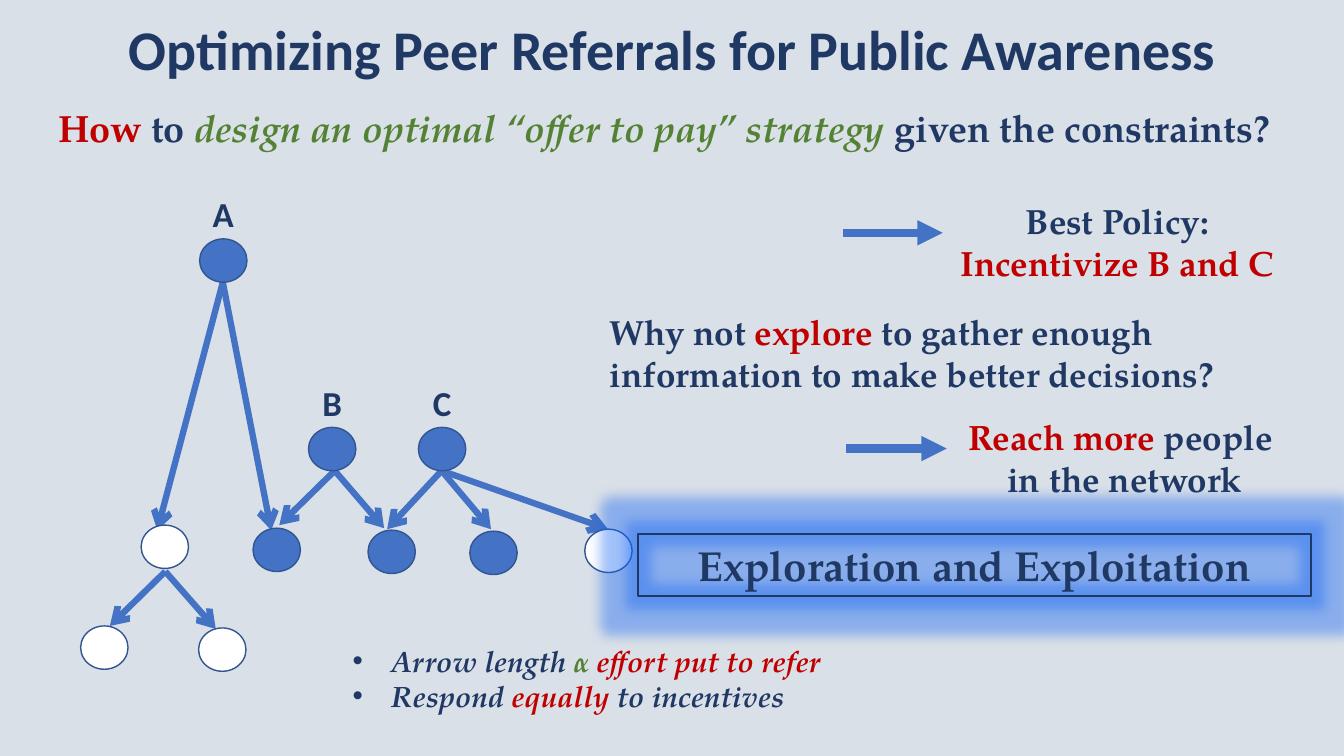
"""Build the slide on optimizing peer referrals for public awareness."""
import pptx
import pptx.dml.color
import pptx.enum.shapes
import pptx.enum.text
import pptx.oxml.ns
import pptx.util
from lxml import etree
from dataclasses import dataclass

Inches = pptx.util.Inches
Pt = pptx.util.Pt
Color = pptx.dml.color.RGBColor.from_string
Align = pptx.enum.text.PP_ALIGN
Shapes = pptx.enum.shapes.MSO_SHAPE
qn = pptx.oxml.ns.qn


@dataclass(frozen=True)
class Theme:
    back: str = "DAE0E7"
    navy: str = "203864"
    red: str = "C00000"
    green: str = "548235"
    blue: str = "4472C4"
    edge: str = "325491"
    white: str = "FFFFFF"
    glow: str = "1465F4"
    sans: str = "Calibri"
    serif: str = "TeX Gyre Pagella"
    title: int = 40
    banner: int = 30
    question: int = 27
    body: int = 25
    note: int = 21


theme = Theme()


def write(para, spans, size, face=theme.serif, align=Align.LEFT, italic=None):
    """Fill a paragraph with (text, colour, italic) spans; a newline breaks the line."""
    para.alignment = align
    para.font.size = Pt(size)
    para.font.name = face
    para.font.bold = True
    para.font.italic = italic
    for text, color, *slant in spans:
        if text == "\n":
            para.add_line_break()
            continue
        span = para.add_run()
        span.text = text
        span.font.color.rgb = Color(color)
        if slant:
            span.font.italic = slant[0]


def add_arrow(start, end, width, head):
    """Draw a blue arrow between two points."""
    arrow = page.shapes.add_connector(
        pptx.enum.shapes.MSO_CONNECTOR.STRAIGHT, *map(Inches, start + end))
    arrow.line.color.rgb = Color(theme.blue)
    arrow.line.width = Pt(width)
    etree.SubElement(arrow.line._get_or_add_ln(), qn("a:tailEnd"), type=head)
    etree.SubElement(arrow._element.spPr, qn("a:effectLst"))


deck = pptx.Presentation()
deck.slide_width, deck.slide_height = Inches(13.33), Inches(7.5)
page = deck.slides.add_slide(deck.slide_layouts[5])
page.background.fill.solid()
page.background.fill.fore_color.rgb = Color(theme.back)

title = page.shapes.title
title.left, title.top, title.width, title.height = map(Inches, (0.09, 0.07, 13.15, 0.89))
title.text_frame.auto_size = pptx.enum.text.MSO_AUTO_SIZE.NONE
title.text_frame.vertical_anchor = pptx.enum.text.MSO_ANCHOR.MIDDLE
heading = title.text_frame.paragraphs[0]
heading.line_spacing = 0.9
write(heading, [("Optimizing Peer Referrals for Public Awareness", theme.navy)],
      theme.title, theme.sans, Align.CENTER)

referrals = {
    (2.21, 2.8): [(1.56, 5.26), (2.69, 5.26)],
    (3.32, 4.67): [(2.77, 5.21), (3.81, 5.24)],
    (4.38, 4.67): [(3.84, 5.25), (4.87, 5.25), (6.03, 5.25)],
    (1.64, 5.67): [(1.09, 6.21), (2.14, 6.24)],
}
for referrer, friends in referrals.items():
    for friend in friends:
        add_arrow(referrer, friend, 4.5, "arrow")

for start, end in [((8.36, 2.31), (9.35, 2.31)), ((8.39, 4.45), (9.39, 4.45))]:
    add_arrow(start, end, 6, "triangle")

people = {
    theme.blue: [(1.98, 2.37), (3.06, 4.24), (4.15, 4.24),
                 (2.51, 5.24), (3.65, 5.26), (4.66, 5.27)],
    theme.white: [(1.4, 5.21), (5.8, 5.25), (0.8, 6.21), (1.97, 6.23)],
}
for color, places in people.items():
    for left, top in places:
        person = page.shapes.add_shape(
            Shapes.OVAL, *map(Inches, (left, top, 0.47, 0.43)))
        person.shadow.inherit = False
        person.fill.solid()
        person.fill.fore_color.rgb = Color(color)
        person.line.color.rgb = Color(theme.edge)
        person.line.width = Pt(1)

for name, left, top in [("A", 1.9, 1.98), ("B", 2.98, 3.85), ("C", 4.07, 3.85)]:
    box = page.shapes.add_textbox(*map(Inches, (left, top, 0.63, 0.43)))
    box.text_frame.word_wrap = True
    label = box.text_frame.paragraphs[0]
    label.line_spacing = 0.7
    write(label, [(name, theme.navy)], theme.body, theme.sans, Align.CENTER)

statements = [
    ((0.48, 1.04, 12.52, 0.58), theme.question, Align.LEFT, 0.9, [
        [("How", theme.red), (" to ", theme.navy),
         ("design an optimal “offer to pay” strategy ", theme.green, True),
         ("given the constraints?", theme.navy)]]),
    ((8.79, 1.93, 4.67, 0.94), theme.body, Align.CENTER, 1.0, [
        [("Best Policy: ", theme.navy)],
        [("Incentivize B and C ", theme.red)]]),
    ((5.95, 3.03, 6.39, 0.94), theme.body, Align.LEFT, 1.0, [
        [("Why not ", theme.navy), ("explore", theme.red),
         (" to gather enough information to make better decisions?", theme.navy)]]),
    ((8.82, 4.07, 4.67, 0.94), theme.body, Align.CENTER, 1.0, [
        [("Reach more", theme.red), (" people ", theme.navy), ("\n", theme.navy),
         ("in the network", theme.navy)]]),
]
for place, size, align, spacing, lines in statements:
    box = page.shapes.add_textbox(*map(Inches, place))
    frame = box.text_frame
    frame.word_wrap = True
    for index, spans in enumerate(lines):
        para = frame.add_paragraph() if index else frame.paragraphs[0]
        para.line_spacing = spacing
        write(para, spans, size, align=align)

notes = [
    [("Arrow length ", theme.navy), ("α ", theme.green), ("effort put to refer", theme.red)],
    [("Respond ", theme.navy), ("equally ", theme.red), ("to incentives", theme.navy)],
]
box = page.shapes.add_textbox(*map(Inches, (3.4, 6.33, 6.67, 0.84)))
frame = box.text_frame
frame.word_wrap = True
for index, spans in enumerate(notes):
    para = frame.add_paragraph() if index else frame.paragraphs[0]
    properties = para._p.get_or_add_pPr()
    properties.set("marL", str(Inches(0.38)))
    properties.set("indent", str(Inches(-0.38)))
    etree.SubElement(properties, qn("a:buFont"), typeface="Arial")
    etree.SubElement(properties, qn("a:buChar"), char="•")
    write(para, spans, theme.note, italic=True)

banner = page.shapes.add_shape(Shapes.RECTANGLE, *map(Inches, (6.33, 5.3, 6.67, 0.61)))
banner.fill.background()
banner.line.color.rgb = Color(theme.navy)
banner.line.width = Pt(1.5)
banner.shadow.inherit = False
effects = banner._element.spPr.find(qn("a:effectLst"))
glow = etree.SubElement(effects, qn("a:glow"), rad=str(Pt(18)))
tint = etree.SubElement(glow, qn("a:srgbClr"), val=theme.glow)
etree.SubElement(tint, qn("a:alpha"), val="40000")
banner.text_frame.word_wrap = True
write(banner.text_frame.paragraphs[0], [("Exploration and Exploitation", theme.navy)],
      theme.banner, align=Align.CENTER)

deck.save("out.pptx")
